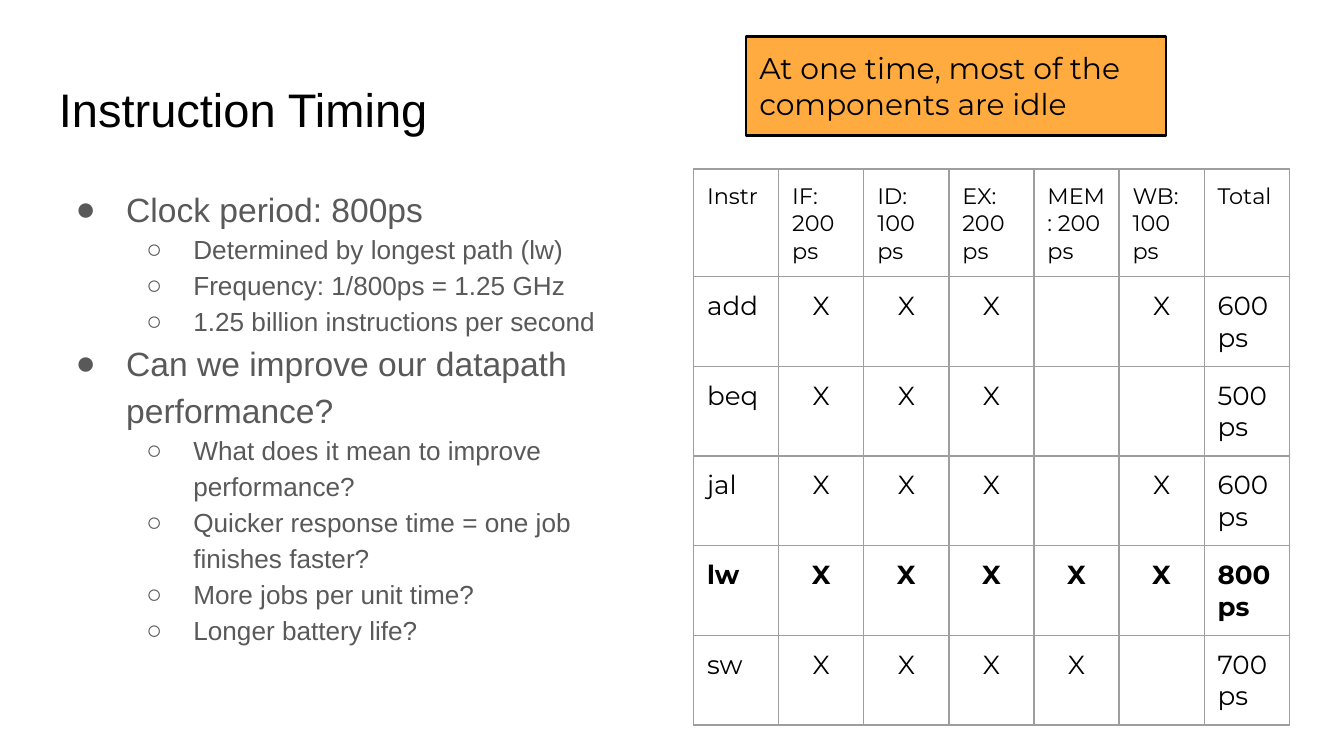
from pptx import Presentation
from pptx.dml.color import RGBColor
from pptx.enum.shapes import MSO_SHAPE
from pptx.enum.text import MSO_ANCHOR, PP_ALIGN
from pptx.oxml.ns import qn
from pptx.util import Pt
from lxml.etree import SubElement

BLACK = RGBColor(0x00, 0x00, 0x00)
GRAY = RGBColor(0x59, 0x59, 0x59)
ORANGE = RGBColor(0xFF, 0xAB, 0x40)
BORDER = RGBColor(0x9E, 0x9E, 0x9E)
INSET = Pt(7.2)

# Content
TITLE = "Instruction Timing"
CALLOUT = "At one time, most of the components are idle"
POINTS = [
    ("Clock period: 800ps", [
        "Determined by longest path (lw)",
        "Frequency: 1/800ps = 1.25 GHz",
        "1.25 billion instructions per second",
    ]),
    ("Can we improve our datapath performance?", [
        "What does it mean to improve performance?",
        "Quicker response time = one job finishes faster?",
        "More jobs per unit time?",
        "Longer battery life?",
    ]),
]
HEADER = ["Instr", "IF: 200 ps", "ID: 100 ps", "EX: 200 ps",
          "MEM: 200 ps", "WB: 100 ps", "Total"]
TIMINGS = [
    ["add", "X", "X", "X", "", "X", "600 ps"],
    ["beq", "X", "X", "X", "", "", "500 ps"],
    ["jal", "X", "X", "X", "", "X", "600 ps"],
    ["lw", "X", "X", "X", "X", "X", "800 ps"],
    ["sw", "X", "X", "X", "X", "", "700 ps"],
]
LONGEST = "lw"

# Bullet level: character, left margin, hanging indent, text size
LEVELS = [("●", 36, 27, 18), ("○", 72, 25.2, 14)]


def style(para, size, name, color, bold=False):
    font = para.font
    font.size, font.name, font.bold = Pt(size), name, bold
    font.color.rgb = color


def set_frame(frame, anchor):
    frame.word_wrap = True
    frame.vertical_anchor = anchor
    frame.margin_left = frame.margin_right = INSET
    frame.margin_top = frame.margin_bottom = INSET


def add_text_box(page, left, top, width, height, anchor):
    box = page.shapes.add_textbox(Pt(left), Pt(top), Pt(width), Pt(height))
    set_frame(box.text_frame, anchor)
    return box.text_frame


def set_bullet(para, level):
    mark, margin, hanging, size = LEVELS[level]
    para.level = level
    para.line_spacing = 1.15
    props = para._p.get_or_add_pPr()
    props.set("marL", str(Pt(margin)))
    props.set("indent", str(-Pt(hanging)))
    color = SubElement(props, qn("a:buClr"))
    SubElement(color, qn("a:srgbClr"), val=str(GRAY))
    SubElement(props, qn("a:buFont"), typeface="Arial")
    SubElement(props, qn("a:buChar"), char=mark)
    style(para, size, "Arial", GRAY)


def set_borders(cell):
    props = cell._tc.get_or_add_tcPr()
    for side in ("lnL", "lnR", "lnT", "lnB"):
        line = SubElement(props, qn("a:" + side), w=str(Pt(0.75)))
        fill = SubElement(line, qn("a:solidFill"))
        SubElement(fill, qn("a:srgbClr"), val=str(BORDER))


def add_timing_table(page):
    rows = [HEADER] + TIMINGS
    frame = page.shapes.add_table(len(rows), len(HEADER), Pt(371.6), Pt(90.6),
                                  Pt(45.6 * len(HEADER)), Pt(30.2 * len(rows)))
    table = frame.table
    table.first_row = table.horz_banding = False
    for r, row in enumerate(rows):
        for c, text in enumerate(row):
            cell = table.cell(r, c)
            set_borders(cell)
            cell.fill.background()
            cell.margin_left = cell.margin_right = INSET
            cell.margin_top = cell.margin_bottom = INSET
            para = cell.text_frame.paragraphs[0]
            para.text = text
            if text == "X":
                para.alignment = PP_ALIGN.CENTER
            style(para, 12 if r == 0 else 14, "Montserrat", BLACK,
                  row[0] == LONGEST)


deck = Presentation()
deck.slide_width, deck.slide_height = Pt(720), Pt(405)
page = deck.slides.add_slide(deck.slide_layouts[6])

# Title
heading = add_text_box(page, 24.5, 35, 671, 45.4, MSO_ANCHOR.BOTTOM).paragraphs[0]
heading.text = TITLE
style(heading, 25.2, "Arial", BLACK)

# Bulleted points
body = add_text_box(page, 24.5, 90.7, 328, 269, MSO_ANCHOR.TOP)
lines = [(text, level) for point, details in POINTS
         for text, level in [(point, 0)] + [(detail, 1) for detail in details]]
for i, (text, level) in enumerate(lines):
    para = body.add_paragraph() if i else body.paragraphs[0]
    para.text = text
    set_bullet(para, level)

# Callout
callout = page.shapes.add_shape(MSO_SHAPE.RECTANGLE, Pt(399.7), Pt(19.5),
                                Pt(225), Pt(53.2))
callout.shadow.inherit = False
callout.fill.solid()
callout.fill.fore_color.rgb = ORANGE
callout.line.color.rgb = BLACK
callout.line.width = Pt(1.5)
set_frame(callout.text_frame, MSO_ANCHOR.TOP)
para = callout.text_frame.paragraphs[0]
para.text = CALLOUT
para.alignment = PP_ALIGN.LEFT
style(para, 16, "Montserrat", BLACK)

# Timing table
add_timing_table(page)

deck.save("out.pptx")
